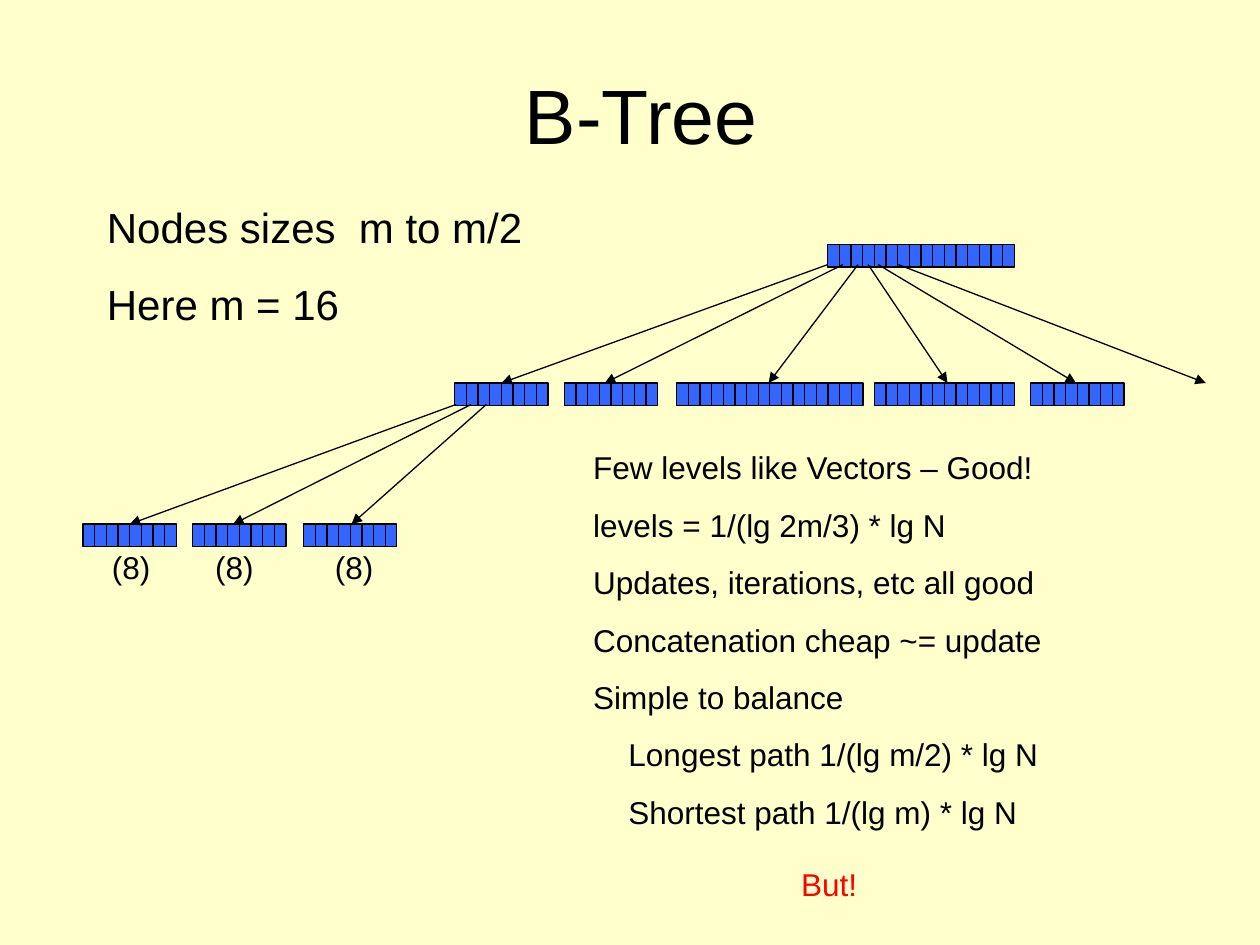
"""Build the B-Tree slide with its node diagram and notes."""
from dataclasses import dataclass

from lxml.etree import SubElement
from pptx import Presentation
from pptx.dml.color import RGBColor
from pptx.enum.shapes import MSO_CONNECTOR as Connector, MSO_SHAPE as Shape
from pptx.enum.text import MSO_ANCHOR as Anchor, MSO_AUTO_SIZE as AutoSize, PP_ALIGN as Align
from pptx.oxml.ns import qn
from pptx.slide import Slide
from pptx.util import Inches, Pt


@dataclass(frozen=True)
class Theme:
    font: str = "Arial"
    background: RGBColor = RGBColor(0xFF, 0xFF, 0xCC)
    ink: RGBColor = RGBColor(0, 0, 0)
    accent: RGBColor = RGBColor(0xFF, 0, 0)
    cell: RGBColor = RGBColor(0x33, 0x66, 0xFF)
    title: float = 44
    lead: float = 24
    body: float = 18
    stroke: float = 0.75


@dataclass(frozen=True)
class Node:
    left: float
    top: float
    cells: int = 8


@dataclass(frozen=True)
class Fan:
    start_y: float
    end_y: float
    spans: tuple[tuple[float, float], ...]


THEME = Theme()
CELL_HEIGHT = 0.18
CELL_WIDTH = 0.37 / 4
ROOT_TOP, BRANCH_TOP, LEAF_TOP = 1.94, 3.04, 4.16

NODES = (
    Node(6.57, ROOT_TOP, 16),
    Node(3.61, BRANCH_TOP),
    Node(4.48, BRANCH_TOP),
    Node(5.37, BRANCH_TOP, 16),
    Node(6.94, BRANCH_TOP, 12),
    Node(8.18, BRANCH_TOP),
    Node(0.66, LEAF_TOP),
    Node(1.53, LEAF_TOP),
    Node(2.41, LEAF_TOP),
)
FANS = (
    Fan(2.1, BRANCH_TOP, ((6.57, 3.98), (6.69, 4.8), (6.81, 6.1),
                          (6.89, 7.52), (6.97, 8.54), (7.13, 9.57))),
    Fan(3.21, LEAF_TOP, ((3.62, 1.03), (3.74, 1.85), (3.86, 2.79))),
)
LEAF_LABEL_LEFTS = (0.79, 1.61, 2.56)
NOTES = (
    "Few levels like Vectors – Good!",
    "levels = 1/(lg 2m/3) * lg N",
    "Updates, iterations, etc all good",
    "Concatenation cheap ~= update",
    "Simple to balance",
)
PATH_NOTES = ("Longest path 1/(lg m/2) * lg N", "Shortest path 1/(lg m) * lg N")


def add_text(slide: Slide, lines: tuple[str, ...], left: float, top: float,
             width: float, height: float, *, size: float = THEME.body,
             color: RGBColor = THEME.ink, before: float = 11.2,
             align: Align = Align.LEFT, anchor: Anchor = Anchor.TOP,
             fit: AutoSize = AutoSize.SHAPE_TO_FIT_TEXT,
             indented: tuple[str, ...] = ()) -> None:
    """Add a wrapped text box, with any indented lines last."""
    frame = slide.shapes.add_textbox(
        Inches(left), Inches(top), Inches(width), Inches(height)).text_frame
    frame.word_wrap = True
    frame.auto_size = fit
    frame.vertical_anchor = anchor
    frame.text = "\n".join(lines + indented)
    for index, paragraph in enumerate(frame.paragraphs):
        paragraph.alignment = align
        paragraph.space_before = Pt(before)
        font = paragraph.runs[0].font
        font.name, font.size, font.color.rgb = THEME.font, Pt(size), color
        if index >= len(lines):
            paragraph._p.get_or_add_pPr().set("marL", str(Inches(0.28)))


def add_node(slide: Slide, node: Node) -> None:
    """Draw a node as a grouped row of equal cells."""
    row = slide.shapes.add_group_shape()
    for index in range(node.cells):
        cell = row.shapes.add_shape(
            Shape.RECTANGLE, Inches(node.left + index * CELL_WIDTH), Inches(node.top),
            Inches(CELL_WIDTH), Inches(CELL_HEIGHT))
        cell.shadow.inherit = False
        cell.fill.solid()
        cell.fill.fore_color.rgb = THEME.cell
        cell.line.color.rgb = THEME.ink
        cell.line.width = Pt(THEME.stroke)


def add_fan(slide: Slide, fan: Fan) -> None:
    """Draw the arrows from a parent node to its children."""
    for start_x, end_x in fan.spans:
        arrow = slide.shapes.add_connector(
            Connector.STRAIGHT, Inches(start_x), Inches(fan.start_y),
            Inches(end_x), Inches(fan.end_y))
        arrow.line.color.rgb = THEME.ink
        arrow.line.width = Pt(THEME.stroke)
        SubElement(arrow.line._get_or_add_ln(), qn("a:tailEnd"), type="triangle")
        SubElement(arrow._element.spPr, qn("a:effectLst"))


def main() -> None:
    """Assemble and save the slide."""
    deck = Presentation()
    deck.slide_width, deck.slide_height = Inches(10), Inches(7.5)
    slide = deck.slides.add_slide(deck.slide_layouts[6])
    slide.background.fill.solid()
    slide.background.fill.fore_color.rgb = THEME.background

    add_text(slide, ("B-Tree",), 0.59, 0.28, 9, 1.25, size=THEME.title, before=0,
             align=Align.CENTER, anchor=Anchor.MIDDLE, fit=AutoSize.NONE)
    for node in NODES:
        add_node(slide, node)
    for fan in FANS:
        add_fan(slide, fan)
    add_text(slide, ("Nodes sizes  m to m/2", "Here m = 16"), 0.75, 1.55, 3.7, 1.11,
             size=THEME.lead, before=15)
    add_text(slide, NOTES, 4.61, 3.51, 3.94, 3.14, indented=PATH_NOTES)
    for left in LEAF_LABEL_LEFTS:
        add_text(slide, ("(8)",), left, 4.3, 0.87, 0.4)
    add_text(slide, ("But!",), 6.26, 6.82, 1.34, 0.4, color=THEME.accent)

    deck.save("out.pptx")


if __name__ == "__main__":
    main()
